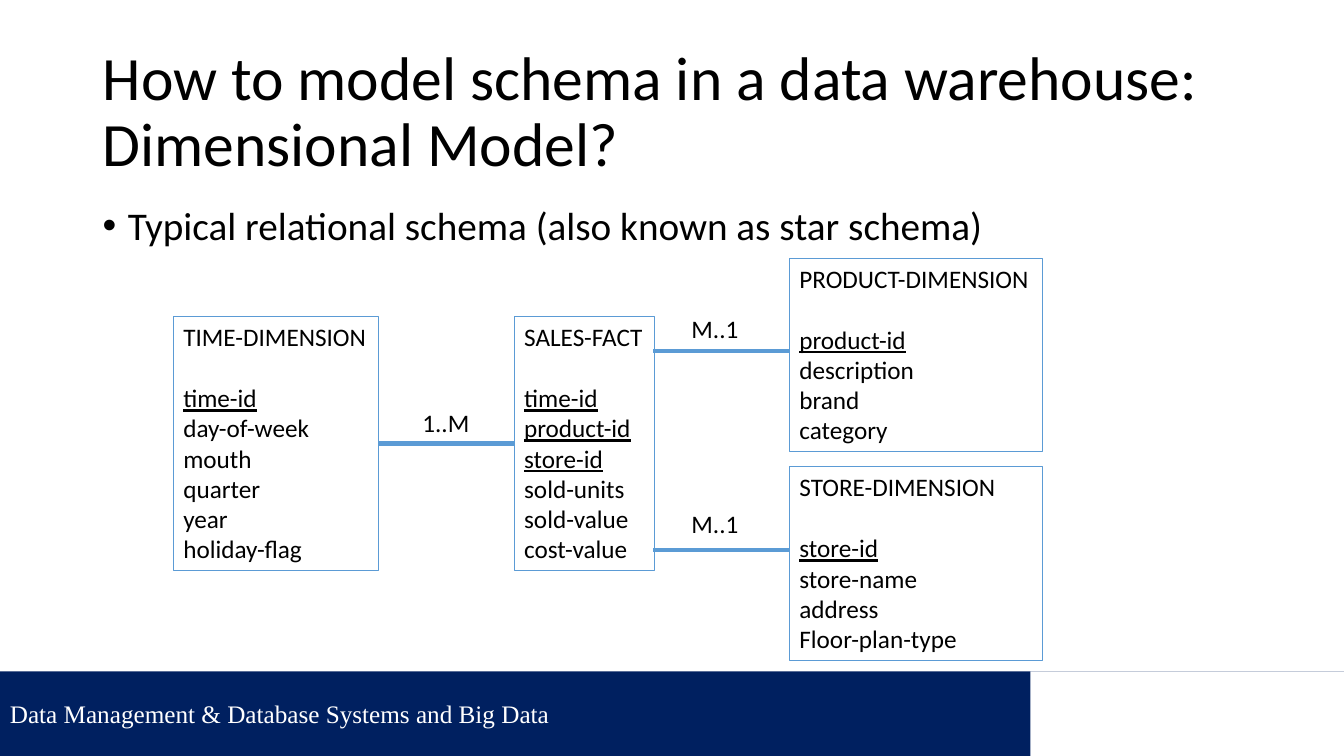
"""Build a slide that explains the dimensional model with a star schema."""
from dataclasses import dataclass

import pptx
import pptx.dml.color
import pptx.enum.shapes
import pptx.enum.text
import pptx.oxml
import pptx.oxml.ns
import pptx.util
from pptx.util import Inches

ANCHOR = pptx.enum.text.MSO_ANCHOR
FIT_SHAPE = pptx.enum.text.MSO_AUTO_SIZE.SHAPE_TO_FIT_TEXT


@dataclass(frozen=True)
class Theme:
    """Colours, fonts and type sizes of the slide."""
    ink: str = "000000"
    paper: str = "FFFFFF"
    navy: str = "002060"
    accent: str = "5B9BD5"
    body_font: str = "Calibri"
    footer_font: str = "Times New Roman"
    title_size: int = 44
    bullet_size: int = 28
    label_size: int = 18
    outline: float = 0.75
    link: float = 3


class SchemaSlide:
    """Draw the parts of a star schema slide in one style."""

    def __init__(self, page, theme):
        """Keep the page and the theme."""
        self.page = page
        self.theme = theme

    def color(self, value):
        """Return a colour object for a hex value."""
        return pptx.dml.color.RGBColor.from_string(value)

    def style(self, para, size, color=None, font=None, underline=None):
        """Format every run of a paragraph."""
        para.alignment = pptx.enum.text.PP_ALIGN.LEFT
        for span in para.runs:
            span.font.size = pptx.util.Pt(size)
            span.font.name = font or self.theme.body_font
            span.font.color.rgb = self.color(color or self.theme.ink)
            span.font.underline = underline

    def rectangle(self, left, top, width, height, fill=None, line=None):
        """Add a plain rectangle."""
        box = self.page.shapes.add_shape(
            pptx.enum.shapes.MSO_SHAPE.RECTANGLE,
            Inches(left), Inches(top), Inches(width), Inches(height))
        box.shadow.inherit = False
        if fill:
            box.fill.solid()
            box.fill.fore_color.rgb = self.color(fill)
        else:
            box.fill.background()
        if line:
            box.line.color.rgb = self.color(line)
            box.line.width = pptx.util.Pt(self.theme.outline)
        else:
            box.line.fill.background()
        return box

    def text(self, words, left, top, width, height, size, anchor=ANCHOR.TOP, wrap=True):
        """Add a text box and return its paragraph."""
        box = self.page.shapes.add_textbox(
            Inches(left), Inches(top), Inches(width), Inches(height))
        frame = box.text_frame
        frame.text = words
        frame.word_wrap = wrap
        frame.vertical_anchor = anchor
        if not wrap:
            frame.auto_size = FIT_SHAPE
        para = frame.paragraphs[0]
        self.style(para, size)
        return para

    def title(self, words):
        """Add the slide title."""
        para = self.text(words, 0.92, 0.4, 11.5, 1.45,
                         self.theme.title_size, ANCHOR.MIDDLE)
        para.line_spacing = 0.9

    def bullet(self, words):
        """Add the bulleted statement."""
        para = self.text(words, 0.92, 2, 11.5, 4.76, self.theme.bullet_size)
        para.line_spacing = 0.9
        para.space_before = pptx.util.Pt(10)
        properties = para._p.get_or_add_pPr()
        properties.set("marL", str(Inches(0.25)))
        properties.set("indent", str(-Inches(0.25)))
        properties.append(pptx.oxml.parse_xml(
            f'<a:buFont {pptx.oxml.ns.nsdecls("a")} typeface="Arial"/>'))
        properties.append(pptx.oxml.parse_xml(
            f'<a:buChar {pptx.oxml.ns.nsdecls("a")} char="•"/>'))

    def footer(self, words):
        """Add the footer band with its white end."""
        theme = self.theme
        band = self.rectangle(0, 6.66, 13.33, 0.84, theme.navy)
        band.text_frame.text = words
        band.text_frame.vertical_anchor = ANCHOR.MIDDLE
        self.style(band.text_frame.paragraphs[0], theme.label_size,
                   theme.paper, theme.footer_font)
        self.rectangle(10.22, 6.66, 3.11, 0.84, theme.paper)

    def entity(self, name, keys, fields, left, top, width, height, wrap=False):
        """Add an entity box with underlined keys."""
        box = self.rectangle(left, top, width, height, line=self.theme.accent)
        frame = box.text_frame
        frame.text = "\n".join([name, *keys, *fields])
        frame.word_wrap = wrap
        frame.auto_size = FIT_SHAPE
        frame.vertical_anchor = ANCHOR.TOP
        for index, para in enumerate(frame.paragraphs):
            is_key = 1 <= index <= len(keys)
            self.style(para, self.theme.label_size, underline=is_key or None)
        frame.paragraphs[0].space_after = pptx.util.Pt(22)
        return box

    def link(self, left, right, height):
        """Add a horizontal link line."""
        line = self.page.shapes.add_connector(
            pptx.enum.shapes.MSO_CONNECTOR.STRAIGHT,
            Inches(left), Inches(height), Inches(right), Inches(height))
        line.line.color.rgb = self.color(self.theme.accent)
        line.line.width = pptx.util.Pt(self.theme.link)
        line._element.spPr.append(pptx.oxml.parse_xml(
            f'<a:effectLst {pptx.oxml.ns.nsdecls("a")}/>'))
        return line

    def cardinality(self, words, left, top):
        """Add a cardinality label."""
        self.text(words, left, top, 0.67, 0.4, self.theme.label_size, wrap=False)


def main():
    """Build and save the deck."""
    deck = pptx.Presentation()
    deck.slide_width, deck.slide_height = Inches(13.33), Inches(7.5)
    slide = SchemaSlide(deck.slides.add_slide(deck.slide_layouts[6]), Theme())

    slide.footer("Data Management & Database Systems and Big Data")
    slide.title("How to model schema in a data warehouse: Dimensional Model?")
    slide.bullet("Typical relational schema (also known as star schema)")

    time = slide.entity(
        "TIME-DIMENSION", ["time-id"],
        ["day-of-week", "mouth", "quarter", "year", "holiday-flag"],
        1.72, 3.14, 2.03, 2.52)
    sales = slide.entity(
        "SALES-FACT", ["time-id", "product-id", "store-id"],
        ["sold-units", "sold-value", "cost-value"], 5.1, 3.14, 1.39, 2.52)
    slide.entity("PRODUCT-DIMENSION", ["product-id"],
                 ["description", "brand", "category"], 7.83, 2.56, 2.51, 1.92)
    slide.entity("STORE-DIMENSION", ["store-id"],
                 ["store-name", "address", "Floor-plan-type"],
                 7.83, 4.63, 2.51, 1.92, wrap=True)

    time_link = slide.link(3.75, 5.1, 4.4)
    time_link.begin_connect(time, 3)
    time_link.end_connect(sales, 1)
    slide.cardinality("1..M", 4.09, 3.99)
    for link_height, label_top in ((5.46, 4.99), (3.48, 3.06)):
        slide.link(6.48, 7.83, link_height)
        slide.cardinality("M..1", 6.76, label_top)

    deck.save("out.pptx")


if __name__ == "__main__":
    main()
